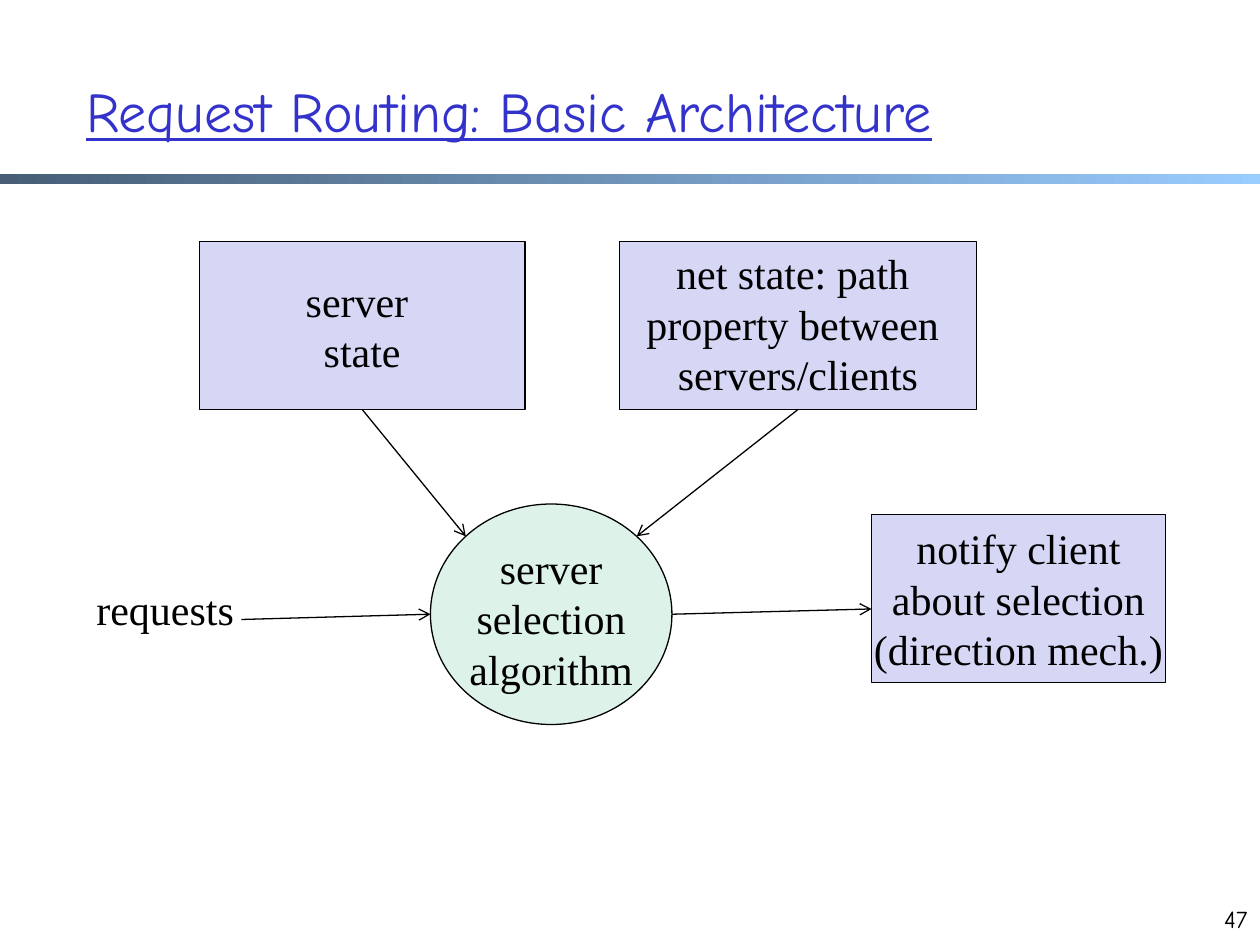
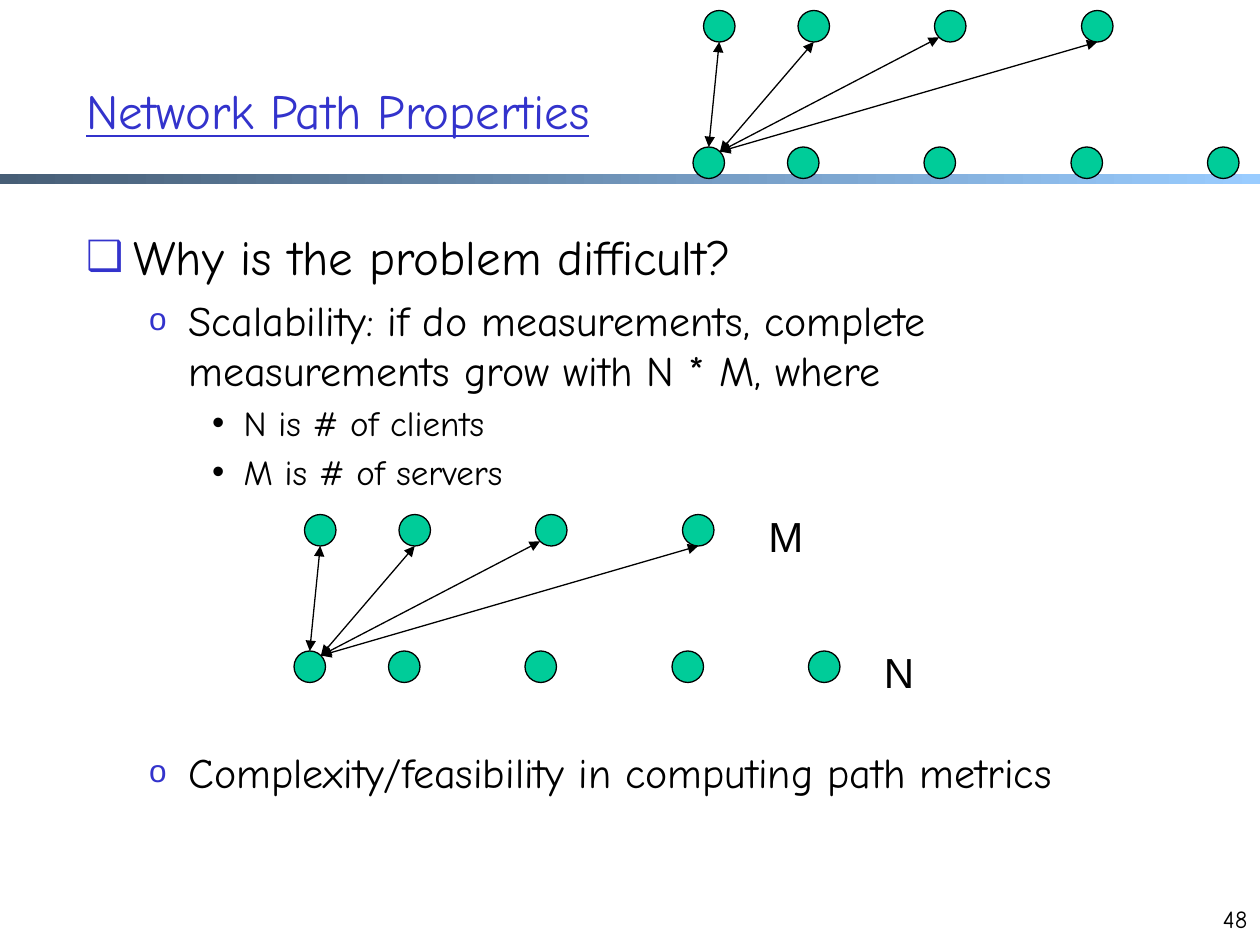
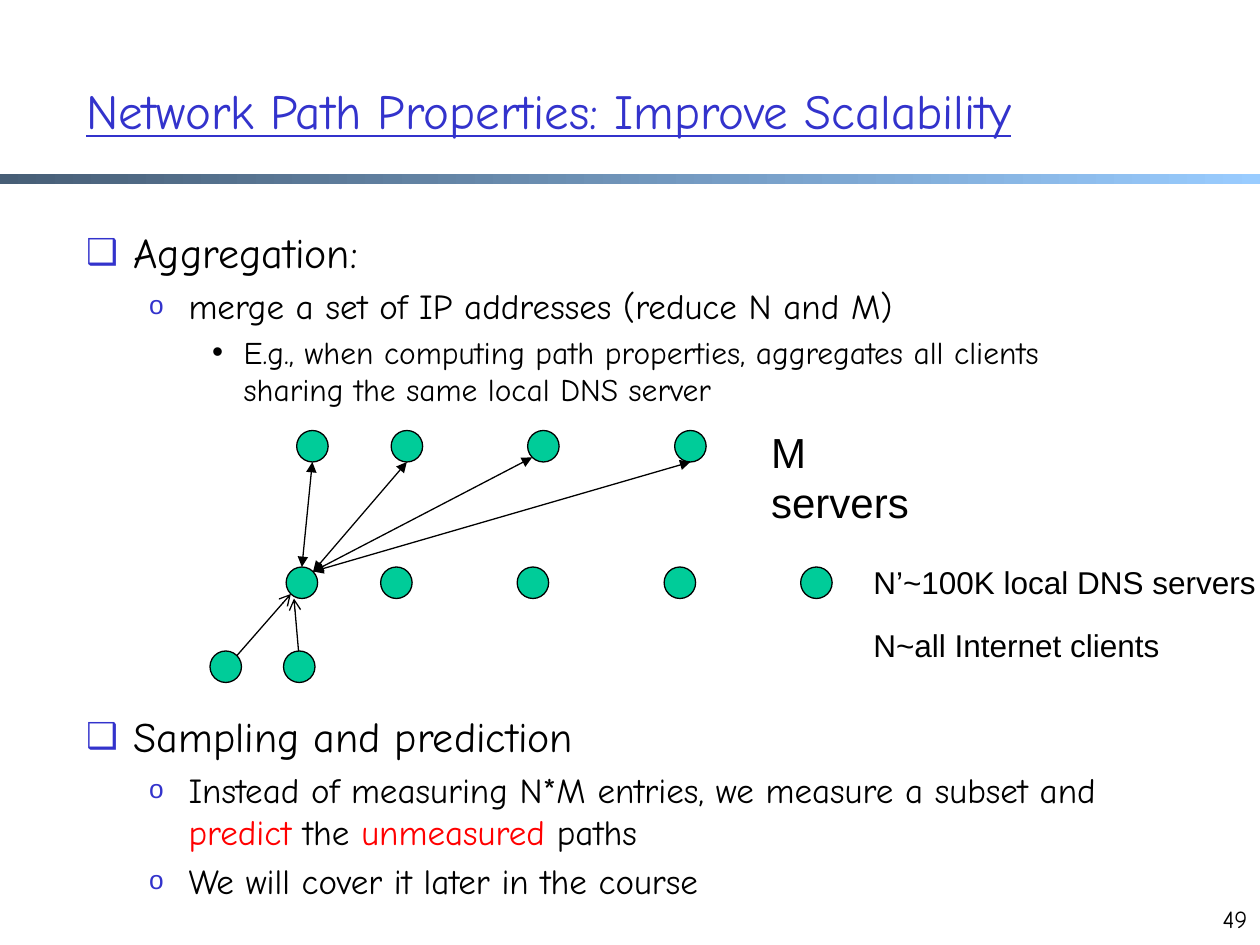
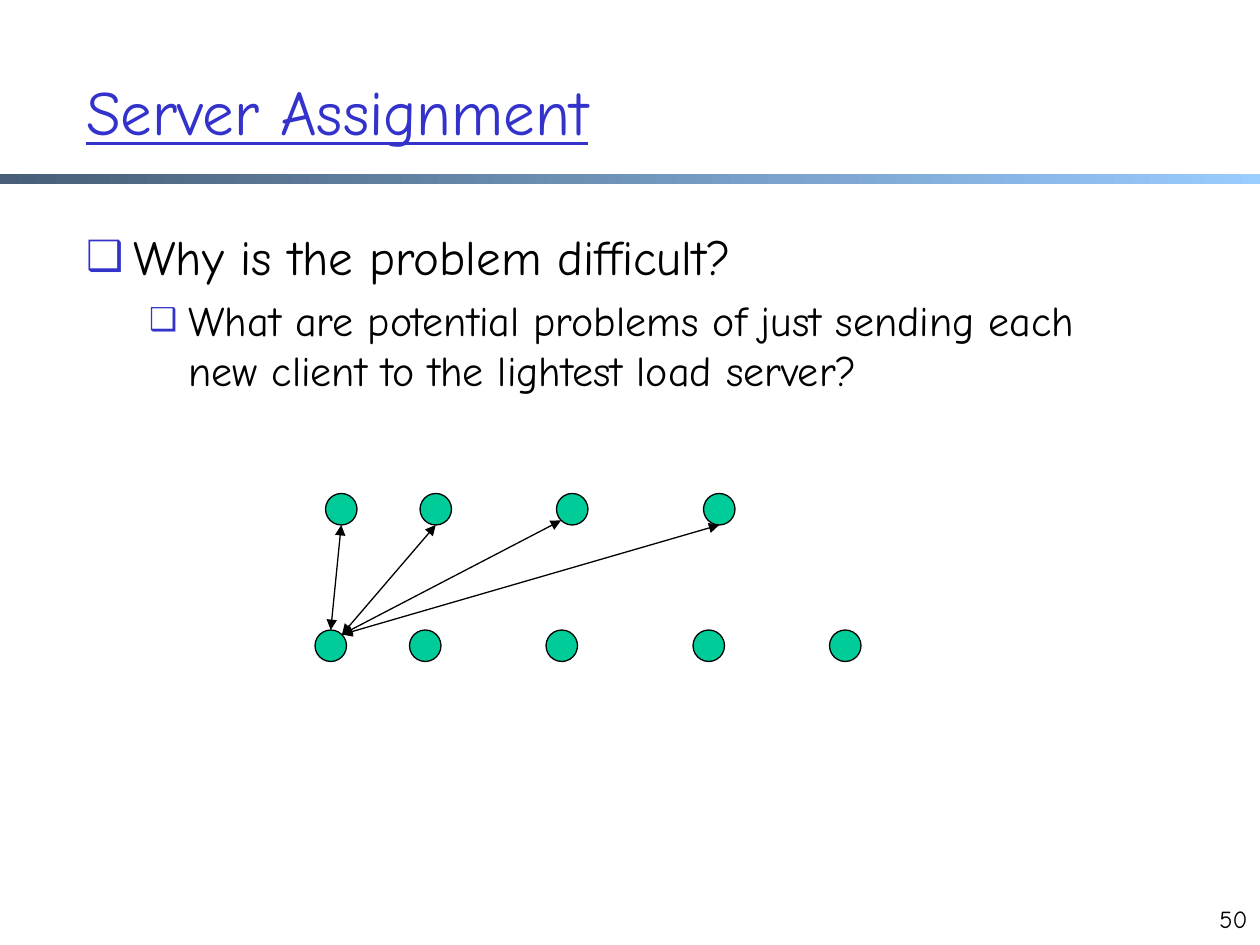
from pptx import Presentation
from pptx.dml.color import RGBColor
from pptx.enum.shapes import MSO_CONNECTOR, MSO_SHAPE
from pptx.enum.text import MSO_ANCHOR, MSO_AUTO_SIZE, PP_ALIGN
from pptx.oxml.ns import qn
from pptx.util import Pt
from lxml.etree import SubElement

BLACK, BLUE, RED = "000000", "3333CC", "FF0000"
LILAC, MINT, GREEN = "D6D6F5", "DDF3EA", "00CC99"
COMIC, TIMES, ARIAL = "Comic Neue", "Times New Roman", "Arial"
RECT, OVAL = MSO_SHAPE.RECTANGLE, MSO_SHAPE.OVAL
TOP, MID = MSO_ANCHOR.TOP, MSO_ANCHOR.MIDDLE
BOTH, ONE = {"headEnd": "triangle", "tailEnd": "triangle"}, {"tailEnd": "arrow"}
DOT = 18
ROW = (0, 54, 132, 216, 294)
DROP = 78
LINKS = [(9, 78, 15, 18), (15.4, 80.6, 69, 18),
         (15.4, 80.6, 140.6, 15.4), (15.4, 80.6, 231, 18)]
LEVELS = [(27, -27, BLUE, 85), (58.5, -22.5, BLUE, 75), (90, -18, BLACK, 100)]


def tint(part, hue):
    part.rgb = RGBColor.from_string(hue)


def draw(shapes, forms, wires):
    for kind, x, y, w, h, hue, text, anchor in forms:
        form = shapes.add_shape(kind, Pt(x), Pt(y), Pt(w), Pt(h))
        form.shadow.inherit = False
        form.fill.solid()
        tint(form.fill.fore_color, hue)
        tint(form.line.color, BLACK)
        form.line.width = Pt(0.75)
        if text:
            frame = form.text_frame
            frame.text = text
            frame.word_wrap = False
            frame.vertical_anchor = anchor
            for para in frame.paragraphs:
                para.alignment = PP_ALIGN.CENTER
                for run in para.runs:
                    run.font.name, run.font.size = TIMES, Pt(24)
                    tint(run.font.color, BLACK)
    for *ends, tips in wires:
        wire = shapes.add_connector(MSO_CONNECTOR.STRAIGHT, *map(Pt, ends))
        tint(wire.line.color, BLACK)
        wire.line.width = Pt(0.75)
        props = wire.element.spPr
        for tag, tip in tips.items():
            SubElement(props.find(qn("a:ln")), qn("a:" + tag), type=tip)
        SubElement(props, qn("a:effectLst"))


pages = [
    {
        "title": "Request Routing: Basic Architecture", "size": 32,
        "forms": [
            (RECT, 114, 138, 186, 96, LILAC, "server \nstate", MID),
            (RECT, 354, 138, 204, 96, LILAC,
             "net state: path \vproperty between \vservers/clients", TOP),
            (OVAL, 246, 288, 138, 126, MINT, "server\nselection\valgorithm", TOP),
            (RECT, 498, 294, 168, 96, LILAC,
             "notify client\nabout selection\v(direction mech.)", MID),
        ],
        "wires": [(207, 234, 266.2, 306.5, ONE), (456, 234, 363.8, 306.5, ONE),
                  (138, 354, 246, 351, ONE), (384, 351, 498, 348, ONE)],
        "labels": [("requests", 48, 330, 93.6, TIMES, 24)],
    },
    {
        "title": "Network Path Properties", "size": 28,
        "list": [
            (0, 28, 0, "Why is the problem difficult?", "❑"),
            (1, 24, 4.8, "Scalability: if do measurements, complete "
             "measurements grow with N * M, where", "o"),
            (2, 20, 4, "N is # of clients", "•"),
            (2, 20, 4, "M is # of servers", "•"),
            (1, 24, 145, "Complexity/feasibility in computing path metrics", "o"),
        ],
        "nets": [(168, 294), (396, 6)],
        "labels": [("M", 432, 288, 29.5, ARIAL, 24),
                   ("N", 498, 366, 27.4, ARIAL, 24)],
    },
    {
        "title": "Network Path Properties: Improve Scalability", "size": 28,
        "width": 648,
        "list": [
            (0, 24, 0, "Aggregation:", "❑"),
            (1, 20, 4, "merge a set of IP addresses (reduce N and M)", "o"),
            (2, 18, 3.6, "E.g., when computing path properties, aggregates "
             "all clients sharing the same local DNS server", "•"),
            (0, 24, 173, "Sampling and prediction", "❑"),
            (1, 20, 4, "Instead of measuring N*M entries, we measure a subset "
             "and |predict| the |unmeasured| paths", "o"),
            (1, 20, 4, "We will cover it later in the course", "o"),
        ],
        "nets": [(163.5, 246)],
        "forms": [(OVAL, x, 372, DOT, DOT, GREEN, "", MID) for x in (120, 162)],
        "wires": [(135.4, 374.6, 166.2, 339.4, ONE), (170.6, 372, 168, 342, ONE)],
        "labels": [("M servers", 433.5, 240, 94.3, ARIAL, 24),
                   ("N’~100K local DNS servers", 492, 318, 240.5, ARIAL, 18),
                   ("N~all Internet clients", 492, 354, 180, ARIAL, 18)],
    },
    {
        "title": "Server Assignment", "size": 36,
        "list": [
            (0, 28, 0, "Why is the problem difficult?", "❑"),
            (1, 24, 4.8, "What are potential problems of just sending each "
             "new client to the lightest load server?", "❑"),
        ],
        "nets": [(180, 282)],
    },
]

deck = Presentation()
deck.slide_width, deck.slide_height = Pt(720), Pt(540)

for num, page in enumerate(pages, 47):
    slide = deck.slides.add_slide(deck.slide_layouts[1 if "list" in page else 5])

    if num == 47:
        band = slide.shapes.add_shape(RECT, 0, Pt(99.5), Pt(720), Pt(5.5))
        band.shadow.inherit = False
        band.line.fill.background()
        band.fill.gradient()
        band.fill.gradient_angle = 0
        for stop, place, hue in zip(band.fill.gradient_stops, (0, 1), ("475E76", "99CCFF")):
            stop.position = place
            tint(stop.color, hue)
        deck.slide_master.shapes.element.append(band.element)

    title = slide.shapes.title
    title.left, title.top = Pt(42), Pt(18)
    title.width, title.height = Pt(page.get("width", 612)), Pt(90)
    frame = title.text_frame
    frame.text = page["title"]
    frame.auto_size = MSO_AUTO_SIZE.NONE
    frame.vertical_anchor = MID
    frame.paragraphs[0].alignment = PP_ALIGN.LEFT
    font = frame.paragraphs[0].runs[0].font
    for key, val in {"name": COMIC, "size": Pt(page["size"]), "underline": True}.items():
        setattr(font, key, val)
    tint(font.color, BLUE)

    if "list" in page:
        body = slide.placeholders[1]
        body.left, body.top, body.width, body.height = map(Pt, (42, 126, 612, 366))
        frame = body.text_frame
        frame.auto_size = MSO_AUTO_SIZE.NONE
        for pos, (level, size, gap, text, mark) in enumerate(page["list"]):
            para = frame.add_paragraph() if pos else frame.paragraphs[0]
            left, indent, hue, scale = LEVELS[level]
            para.level = level
            para.space_before = Pt(gap)
            props = para._p.get_or_add_pPr()
            props.set("marL", str(Pt(left)))
            props.set("indent", str(Pt(indent)))
            SubElement(SubElement(props, qn("a:buClr")), qn("a:srgbClr"), val=hue)
            SubElement(props, qn("a:buSzPct"), val=str(scale * 1000))
            SubElement(props, qn("a:buFont"), typeface=ARIAL)
            SubElement(props, qn("a:buChar"), char=mark)
            for part, words in enumerate(text.split("|")):
                run = para.add_run()
                run.text = words
                for key, val in {"name": COMIC, "size": Pt(size)}.items():
                    setattr(run.font, key, val)
                tint(run.font.color, RED if part % 2 else BLACK)

    for left, top in page.get("nets", []):
        spots = [(left + x + 6, top) for x in ROW[:4]]
        spots += [(left + x, top + DROP) for x in ROW]
        dots = [(OVAL, x, y, DOT, DOT, GREEN, "", MID) for x, y in spots]
        links = [(left + a, top + b, left + c, top + d, BOTH) for a, b, c, d in LINKS]
        draw(slide.shapes.add_group_shape().shapes, dots, links)

    draw(slide.shapes, page.get("forms", []), page.get("wires", []))

    labels = page.get("labels", []) + [(str(num), 684, 513, 36, COMIC, 14)]
    for text, x, y, w, face, size in labels:
        box = slide.shapes.add_textbox(Pt(x), Pt(y), Pt(w), Pt(36 if size == 14 else 29))
        frame = box.text_frame
        frame.text = text
        frame.word_wrap = " " in text
        para = frame.paragraphs[0]
        para.alignment = PP_ALIGN.RIGHT if face == COMIC else PP_ALIGN.LEFT
        font = para.runs[0].font
        for key, val in {"name": face, "size": Pt(size)}.items():
            setattr(font, key, val)
        tint(font.color, BLACK)

deck.save("out.pptx")
